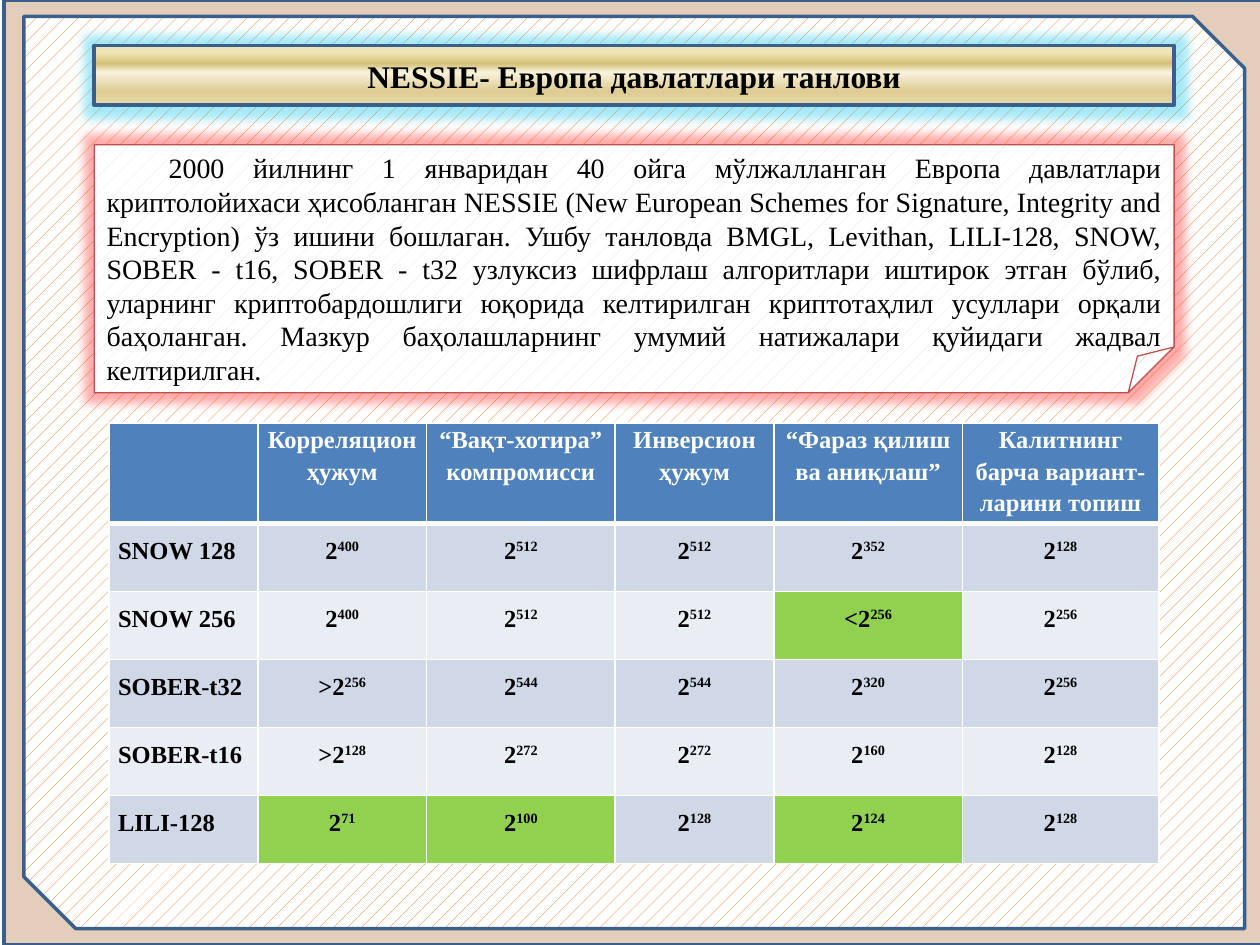
from lxml import etree
from pptx import Presentation
from pptx.dml.color import RGBColor
from pptx.enum import dml, shapes, text
from pptx.oxml import ns
from pptx.util import Cm, Pt

FONT = "Times New Roman"
BLACK = RGBColor(0x00, 0x00, 0x00)
WHITE = RGBColor(0xFF, 0xFF, 0xFF)
NAVY = RGBColor(0x3A, 0x5F, 0x8C)
BROWN = RGBColor(0x98, 0x48, 0x07)
ORANGE = RGBColor(0xE4, 0x6C, 0x0A)
RED = RGBColor(0xC0, 0x50, 0x4D)
PALE_BLUE = RGBColor(0xDC, 0xE6, 0xF2)
HEADER_BLUE = RGBColor(0x4F, 0x81, 0xBD)
BANDS = [RGBColor(0xE9, 0xED, 0xF4), RGBColor(0xD0, 0xD8, 0xE8)]
GREEN = RGBColor(0x92, 0xD0, 0x50)
CYAN_GLOW = RGBColor(0x20, 0xC8, 0xF0)
RED_GLOW = RGBColor(0xFF, 0x30, 0x2B)
GOLD_STOPS = [(0, "EBE3BD"), (12, "EFE6B6"), (30, "D4BF75"),
              (45, "F8F3DD"), (77, "DDCC92"), (100, "E6DCAC")]

TITLE = "NESSIE- Европа давлатлари танлови"
BODY = (
    "2000 йилнинг 1 январидан 40 ойга мўлжалланган Европа давлатлари "
    "криптолойихаси ҳисобланган NESSIE (New European Schemes for Signature, "
    "Integrity and Encryption) ўз ишини бошлаган. Ушбу танловда BMGL, Levithan, "
    "LILI-128, SNOW, SOBER - t16, SOBER - t32 узлуксиз шифрлаш алгоритлари "
    "иштирок этган бўлиб, уларнинг криптобардошлиги юқорида келтирилган "
    "криптотаҳлил усуллари орқали баҳоланган. Мазкур баҳолашларнинг умумий "
    "натижалари қуйидаги жадвал келтирилган."
)
# "^" starts a superscript
ROWS = [
    ["", "Корреляцион ҳужум", "“Вақт-хотира” компромисси", "Инверсион ҳужум",
     "“Фараз қилиш ва аниқлаш”", "Калитнинг барча вариант-ларини топиш"],
    ["SNOW 128", "2^400", "2^512", "2^512", "2^352", "2^128"],
    ["SNOW 256", "2^400", "2^512", "2^512", "<2^256", "2^256"],
    ["SOBER-t32", ">2^256", "2^544", "2^544", "2^320", "2^256"],
    ["SOBER-t16", ">2^128", "2^272", "2^272", "2^160", "2^128"],
    ["LILI-128", "2^71", "2^100", "2^128", "2^124", "2^128"],
]
HIGHLIGHTS = {(2, 4), (5, 1), (5, 2), (5, 4)}
COLUMN_WIDTHS = [3, 3.4, 3.8, 3.2, 3.8, 3.96]
HEADER_HEIGHT, ROW_HEIGHT = 2.03, 1.37
PANEL_LEFT, PANEL_WIDTH = 1.9, 21.77


def add_element(parent, tag, **attributes):
    element = etree.SubElement(parent, ns.qn(tag))
    for name, value in attributes.items():
        element.set(name, str(value))
    return element


def set_font(paragraph, size, color, bold=False):
    font = paragraph.font
    font.name, font.size, font.bold = FONT, Pt(size), bold
    font.color.rgb = color


def set_line(shape, color, width):
    shape.line.color.rgb = color
    shape.line.width = Pt(width)


def set_pattern(shape, pattern, foreground):
    shape.fill.patterned()
    shape.fill.pattern = pattern
    shape.fill.fore_color.rgb = foreground
    shape.fill.back_color.rgb = WHITE


def add_panel(slide, kind, box, line_color, line_width):
    shape = slide.shapes.add_shape(kind, *map(Cm, box))
    shape.shadow.inherit = False
    set_line(shape, line_color, line_width)
    return shape


def add_glow(shape, color, radius):
    shape.shadow.inherit = False
    effects = shape._element.spPr.find(ns.qn("a:effectLst"))
    glow = add_element(effects, "a:glow", rad=Pt(radius))
    add_element(add_element(glow, "a:srgbClr", val=color), "a:alpha", val=40000)


def set_gradient(shape, stops, angle):
    shape.fill.gradient()
    shape.fill.gradient_angle = -angle % 360
    stop_list = shape._element.spPr.find(".//" + ns.qn("a:gsLst"))
    for old_stop in list(stop_list):
        stop_list.remove(old_stop)
    for position, color in stops:
        stop = add_element(stop_list, "a:gs", pos=position * 1000)
        add_element(stop, "a:srgbClr", val=color)


def set_borders(cell, top, bottom):
    properties = cell._tc.get_or_add_tcPr()
    widths = {"a:lnL": 1, "a:lnR": 1, "a:lnT": top, "a:lnB": bottom}
    for tag, width in widths.items():
        line = add_element(properties, tag, w=Pt(width))
        add_element(add_element(line, "a:solidFill"), "a:srgbClr", val=WHITE)


def fill_cell(cell, content, row, column):
    header = row == 0
    set_borders(cell, 3 if row == 1 else 1, 3 if header else 1)
    cell.fill.solid()
    if header:
        cell.fill.fore_color.rgb = HEADER_BLUE
    else:
        cell.fill.fore_color.rgb = GREEN if (row, column) in HIGHLIGHTS else BANDS[row % 2]
    cell.margin_left = cell.margin_right = Cm(0.18)
    cell.margin_top = cell.margin_bottom = 0
    paragraph = cell.text_frame.paragraphs[0]
    paragraph.line_spacing = 1.15 if header else 1.5
    paragraph.alignment = text.PP_ALIGN.CENTER if header or column else text.PP_ALIGN.LEFT
    set_font(paragraph, 14, WHITE if header else BLACK, bold=True)
    base, _, exponent = content.partition("^")
    if base:
        paragraph.add_run().text = base
    if exponent:
        run = paragraph.add_run()
        run.text = exponent
        run.font._element.set("baseline", "30000")


def main():
    presentation = Presentation()
    presentation.slide_width, presentation.slide_height = Cm(25.4), Cm(19.05)
    slide = presentation.slides.add_slide(presentation.slide_layouts[5])
    kinds = shapes.MSO_SHAPE

    # Background frames
    backdrop = add_panel(slide, kinds.RECTANGLE, (0.08, 0, 25.4, 19.05), NAVY, 2)
    backdrop.fill.solid()
    backdrop.fill.fore_color.rgb = BROWN
    color = backdrop._element.spPr.find(ns.qn("a:solidFill"))[0]
    add_element(color, "a:alpha", val=27000)
    frame = add_panel(slide, kinds.SNIP_2_DIAG_RECTANGLE, (0.48, 0.33, 24.61, 18.39), NAVY, 2)
    frame.adjustments[0], frame.adjustments[1] = 0, 0.057
    set_pattern(frame, dml.MSO_PATTERN.PERCENT_10, ORANGE)

    # Title bar, brought in front of the frames
    title = slide.shapes.title
    slide.shapes._spTree.append(title._element)
    title.left, title.top, title.width, title.height = map(
        Cm, (PANEL_LEFT, 0.92, PANEL_WIDTH, 1.2))
    set_gradient(title, GOLD_STOPS, 90)
    set_line(title, NAVY, 2)
    add_glow(title, CYAN_GLOW, 11)
    title.text_frame.text = TITLE
    title.text_frame.vertical_anchor = text.MSO_ANCHOR.MIDDLE
    paragraph = title.text_frame.paragraphs[0]
    paragraph.alignment = text.PP_ALIGN.CENTER
    set_font(paragraph, 18, BLACK, bold=True)

    # Table of attack complexities
    graphic = slide.shapes.add_table(
        len(ROWS), len(COLUMN_WIDTHS), Cm(2.2), Cm(8.53), Cm(sum(COLUMN_WIDTHS)),
        Cm(HEADER_HEIGHT + ROW_HEIGHT * (len(ROWS) - 1)))
    table = graphic.table
    for column, width in zip(table.columns, COLUMN_WIDTHS):
        column.width = Cm(width)
    for row, contents in enumerate(ROWS):
        table.rows[row].height = Cm(ROW_HEIGHT if row else HEADER_HEIGHT)
        for column, content in enumerate(contents):
            fill_cell(table.cell(row, column), content, row, column)

    # Introductory note; the fold size has to be written as a shape guide
    note = add_panel(slide, kinds.FOLDED_CORNER, (PANEL_LEFT, 2.92, PANEL_WIDTH, 5), RED, 0.75)
    guides = note._element.spPr.find(".//" + ns.qn("a:avLst"))
    add_element(guides, "a:gd", name="adj", fmla="val 18500")
    set_pattern(note, dml.MSO_PATTERN.PERCENT_5, PALE_BLUE)
    add_glow(note, RED_GLOW, 11)
    note.text_frame.word_wrap = True
    note.text_frame.vertical_anchor = text.MSO_ANCHOR.TOP
    note.text_frame.text = BODY
    paragraph = note.text_frame.paragraphs[0]
    paragraph.alignment = text.PP_ALIGN.JUSTIFY
    paragraph._p.get_or_add_pPr().set("indent", str(Cm(1.25)))
    set_font(paragraph, 16, BLACK)

    presentation.save("out.pptx")


if __name__ == "__main__":
    main()
